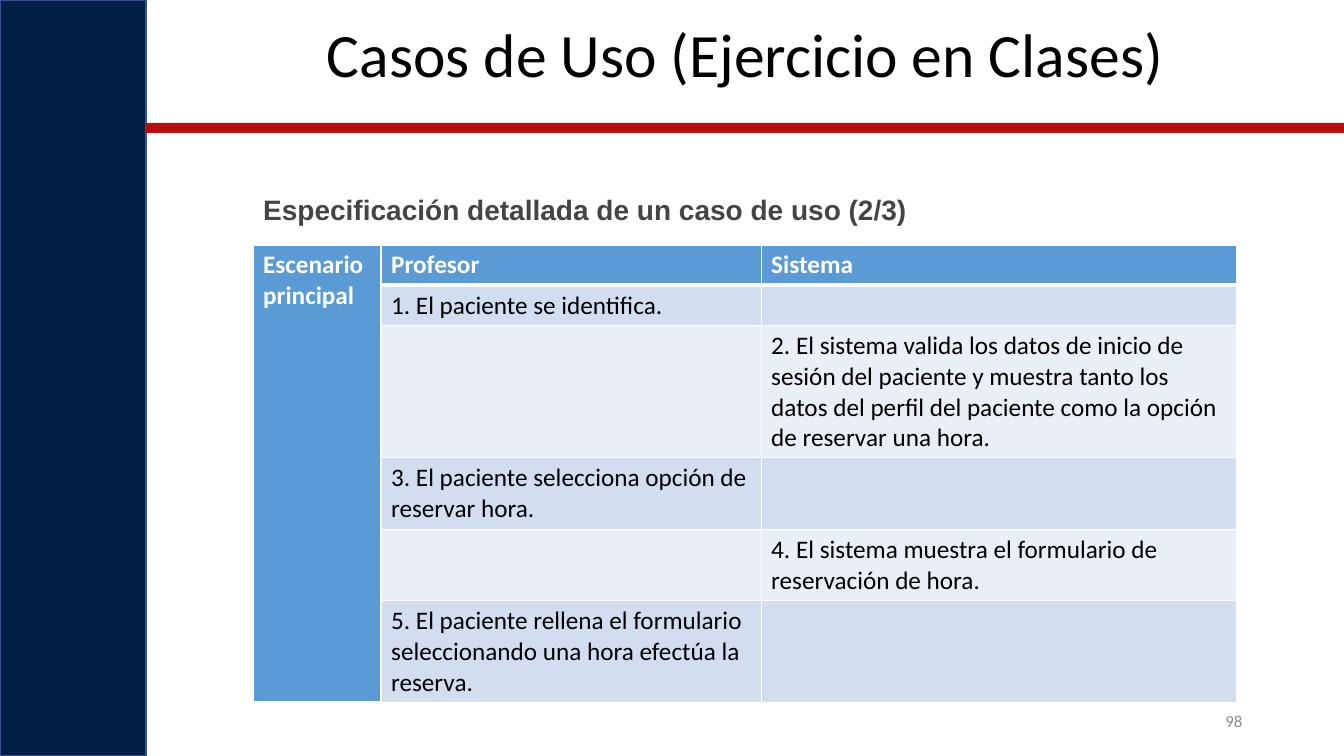
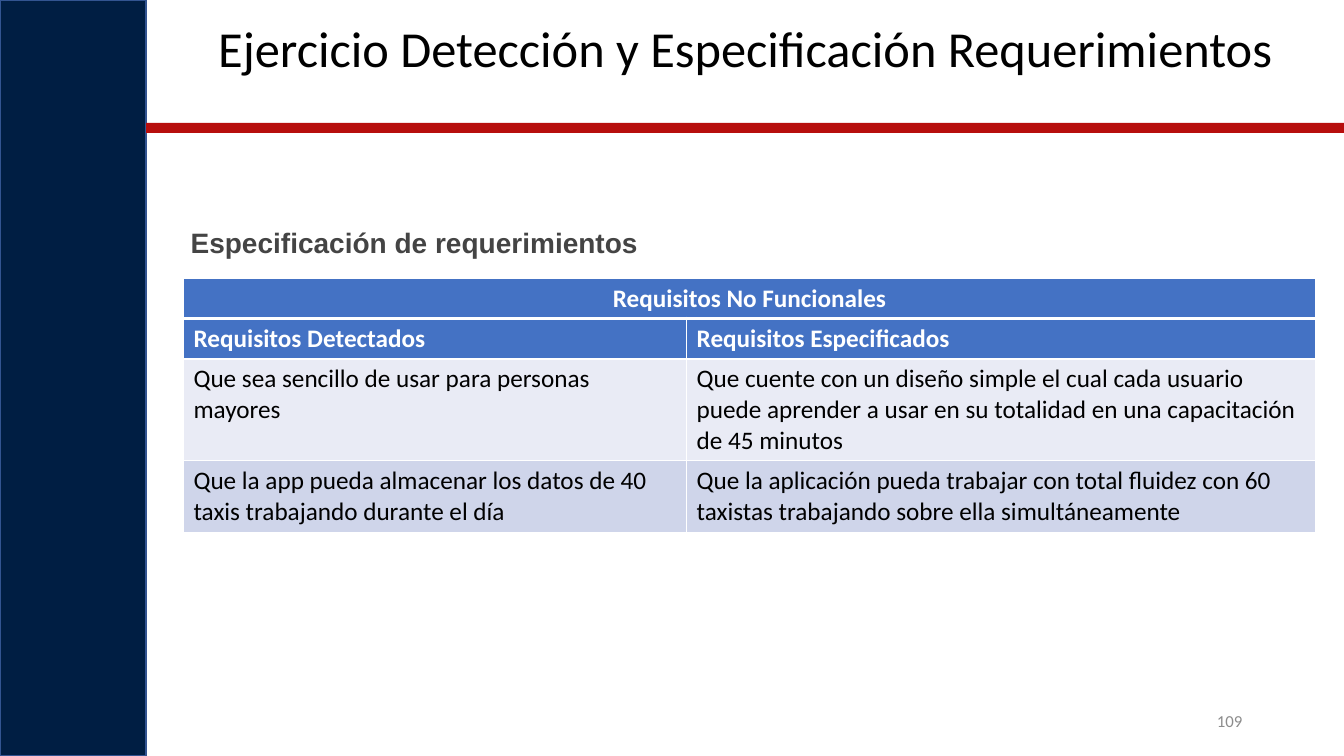
from dataclasses import dataclass

from lxml import etree
from pptx import Presentation
from pptx.dml.color import RGBColor
from pptx.enum.shapes import MSO_SHAPE
from pptx.enum.text import MSO_ANCHOR, MSO_AUTO_SIZE, PP_ALIGN
from pptx.oxml.ns import qn
from pptx.util import Emu, Pt

RECT = MSO_SHAPE.RECTANGLE
TOP, MIDDLE = MSO_ANCHOR.TOP, MSO_ANCHOR.MIDDLE
FIXED = MSO_AUTO_SIZE.NONE
LEFT, CENTER, RIGHT, JUSTIFY = (
    PP_ALIGN.LEFT, PP_ALIGN.CENTER, PP_ALIGN.RIGHT, PP_ALIGN.JUSTIFY)
SCALE = 9144
WIDE, HIGH = 1333, 750


@dataclass(frozen=True)
class Style:
    size: int
    color: str
    align: PP_ALIGN = LEFT
    bold: bool = False
    face: str = "Calibri"
    lead: float = 1.0


@dataclass(frozen=True)
class Theme:
    navy: str = "001E43"
    edge: str = "325491"
    red: str = "B70E0D"
    white: str = "FFFFFF"
    title: Style = Style(44, "000000", CENTER, lead=0.9)
    long: Style = Style(36, "000000", CENTER, lead=0.9)
    sub: Style = Style(20, "444444", JUSTIFY, True, "Arial", 0.9)
    page: Style = Style(12, "8C8C8C", RIGHT)
    head: Style = Style(18, "FFFFFF", bold=True)
    banner: Style = Style(18, "FFFFFF", CENTER, True)
    cell: Style = Style(18, "000000")


@dataclass(frozen=True)
class Box:
    x: int
    y: int
    w: int
    h: int

    def emu(self) -> tuple[Emu, ...]:
        return tuple(Emu(v * SCALE) for v in (self.x, self.y, self.w, self.h))


@dataclass(frozen=True)
class Grid:
    x: int
    y: int
    cols: tuple[int, ...]
    rows: tuple[int, ...]
    fill: str
    bands: tuple[str, str]
    text: tuple[tuple[str, ...], ...]
    span: tuple[int, int]
    heads: int = 1
    side: int = 0


@dataclass(frozen=True)
class Page:
    title: str
    style: Style
    sub: str
    place: Box
    number: str
    grid: Grid


THEME = Theme()
TITLE = Box(153, 19, 1173, 85)
NUMBER = Box(942, 695, 300, 40)

PAGES = (
    Page(
        "Casos de Uso (Ejercicio en Clases)", THEME.title,
        "Especificación detallada de un caso de uso (2/3)",
        Box(251, 190, 673, 47), "98",
        Grid(
            251, 243, (127, 377, 472), (40, 40, 131, 71, 71, 101),
            "5B9BD5", ("D2DEEF", "EAEFF7"),
            (
                ("Escenario principal", "Profesor", "Sistema"),
                ("", "1. El paciente se identifica.", ""),
                ("", "", "2. El sistema valida los datos de inicio de sesión "
                 "del paciente y muestra tanto los datos del perfil del "
                 "paciente como la opción de reservar una hora."),
                ("", "3. El paciente selecciona opción de reservar hora.", ""),
                ("", "", "4. El sistema muestra el formulario de "
                 "reservación de hora."),
                ("", "5. El paciente rellena el formulario seleccionando "
                 "una hora efectúa la reserva.", ""),
            ),
            span=(6, 1), side=1,
        ),
    ),
    Page(
        "Ejercicio Detección y Especificación Requerimientos", THEME.long,
        "Especificación de requerimientos",
        Box(179, 222, 1126, 48), "109",
        Grid(
            182, 276, (499, 624), (40, 40, 101, 71),
            "4472C4", ("CFD5EA", "E9EBF5"),
            (
                ("Requisitos No Funcionales", ""),
                ("Requisitos Detectados", "Requisitos Especificados"),
                ("Que sea sencillo de usar para personas mayores",
                 "Que cuente con un diseño simple el cual cada usuario puede "
                 "aprender a usar en su totalidad en una capacitación de 45 "
                 "minutos"),
                ("Que la app pueda almacenar los datos de 40 taxis "
                 "trabajando durante el día",
                 "Que la aplicación pueda trabajar con total fluidez con 60 "
                 "taxistas trabajando sobre ella simultáneamente"),
            ),
            span=(1, 2), heads=2,
        ),
    ),
)


def write(frame, text: str, style: Style) -> None:
    frame.word_wrap = True
    para = frame.paragraphs[0]
    para.text = text
    para.alignment = style.align
    para.line_spacing = style.lead
    para.space_before = Pt(0)
    font = para.font
    font.name, font.size, font.bold = style.face, Pt(style.size), style.bold
    font.color.rgb = RGBColor.from_string(style.color)


def fill_in(holder, box: Box, text: str, style: Style) -> None:
    holder.left, holder.top, holder.width, holder.height = box.emu()
    frame = holder.text_frame
    frame.auto_size = FIXED
    frame.vertical_anchor = TOP
    props = frame.paragraphs[0]._p.get_or_add_pPr()
    props.set("marL", "0")
    props.set("indent", "0")
    etree.SubElement(props, qn("a:buNone"))
    write(frame, text, style)


def add_band(slide, box: Box, fill: str, edge: str | None = None) -> None:
    band = slide.shapes.add_shape(RECT, *box.emu())
    band.shadow.inherit = False
    band.fill.solid()
    band.fill.fore_color.rgb = RGBColor.from_string(fill)
    if edge:
        band.line.color.rgb = RGBColor.from_string(edge)
        band.line.width = Pt(1)
    else:
        band.line.fill.background()


def add_edges(cell, top: int, base: int) -> None:
    props = cell._tc.get_or_add_tcPr()
    for tag, width in (("lnL", 1), ("lnR", 1), ("lnT", top), ("lnB", base)):
        line = etree.SubElement(props, qn(f"a:{tag}"), w=str(Pt(width)))
        solid = etree.SubElement(line, qn("a:solidFill"))
        etree.SubElement(solid, qn("a:srgbClr"), val=THEME.white)


def add_grid(slide, grid: Grid) -> None:
    box = Box(grid.x, grid.y, sum(grid.cols), sum(grid.rows))
    table = slide.shapes.add_table(
        len(grid.rows), len(grid.cols), *box.emu()).table
    table.first_row = table.horz_banding = False
    for col, width in zip(table.columns, grid.cols):
        col.width = Emu(width * SCALE)
    for row, height in zip(table.rows, grid.rows):
        row.height = Emu(height * SCALE)
    down, across = grid.span
    table.cell(0, 0).merge(table.cell(down - 1, across - 1))
    for r, texts in enumerate(grid.text):
        for c, text in enumerate(texts):
            cell = table.cell(r, c)
            head = r < grid.heads or c < grid.side
            style = THEME.head if head else THEME.cell
            if cell.is_merge_origin and across > 1:
                style = THEME.banner
            add_edges(cell, 3 if r == 1 else 1, 3 if r == 0 else 1)
            cell.fill.solid()
            cell.fill.fore_color.rgb = RGBColor.from_string(
                grid.fill if head else grid.bands[(r - 1) % 2])
            write(cell.text_frame, text, style)


def add_page(deck, page: Page) -> None:
    slide = deck.slides.add_slide(deck.slide_layouts[1])
    add_band(slide, Box(0, 0, 145, HIGH), THEME.navy, THEME.edge)
    add_band(slide, Box(145, 122, WIDE - 145, 10), THEME.red)
    fill_in(slide.shapes.title, TITLE, page.title, page.style)
    fill_in(slide.placeholders[1], page.place, page.sub, THEME.sub)
    number = slide.shapes.add_textbox(*NUMBER.emu()).text_frame
    number.vertical_anchor = MIDDLE
    write(number, page.number, THEME.page)
    add_grid(slide, page.grid)


def main() -> None:
    deck = Presentation()
    deck.slide_width, deck.slide_height = Emu(WIDE * SCALE), Emu(HIGH * SCALE)
    for page in PAGES:
        add_page(deck, page)
    deck.save("out.pptx")


if __name__ == "__main__":
    main()
